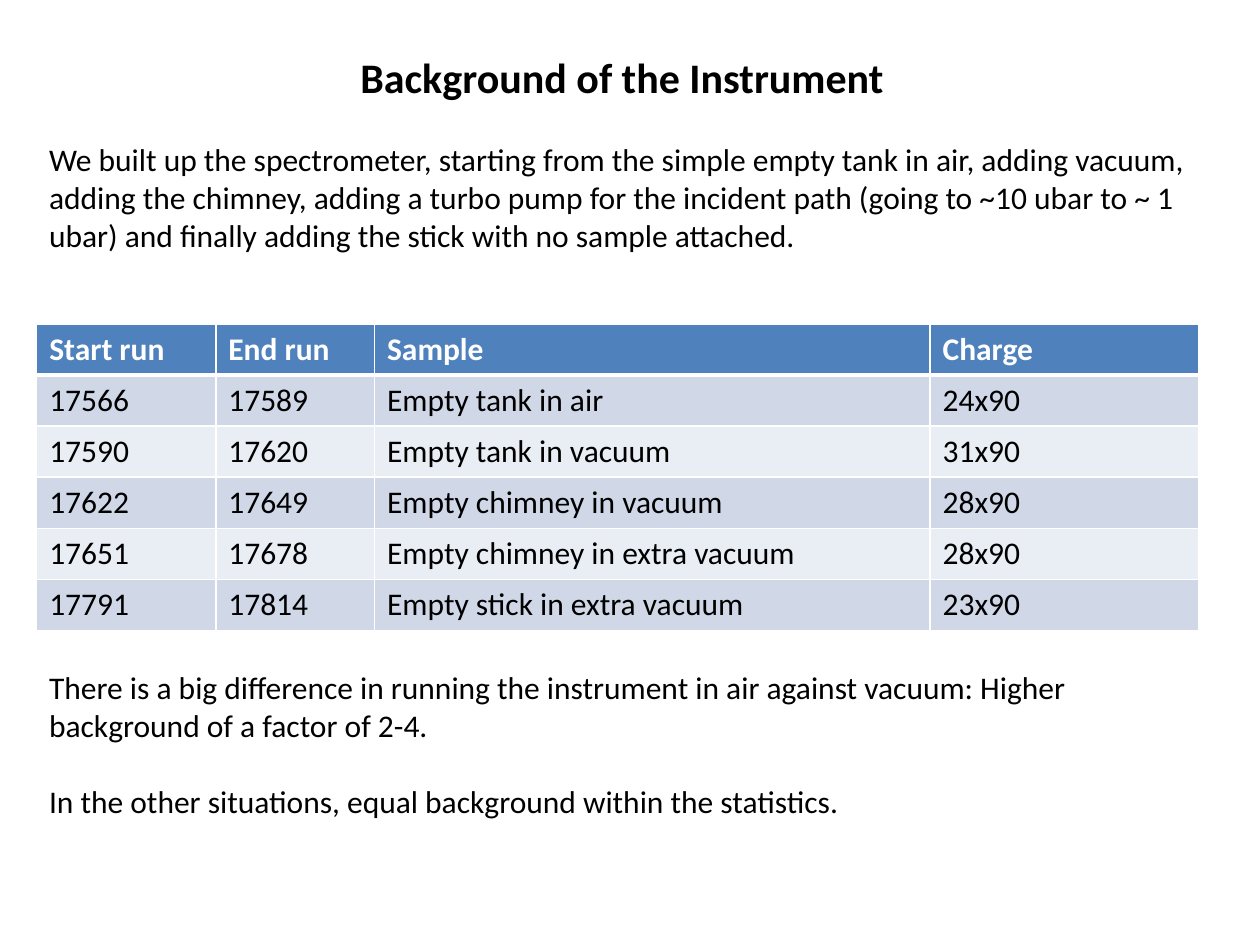
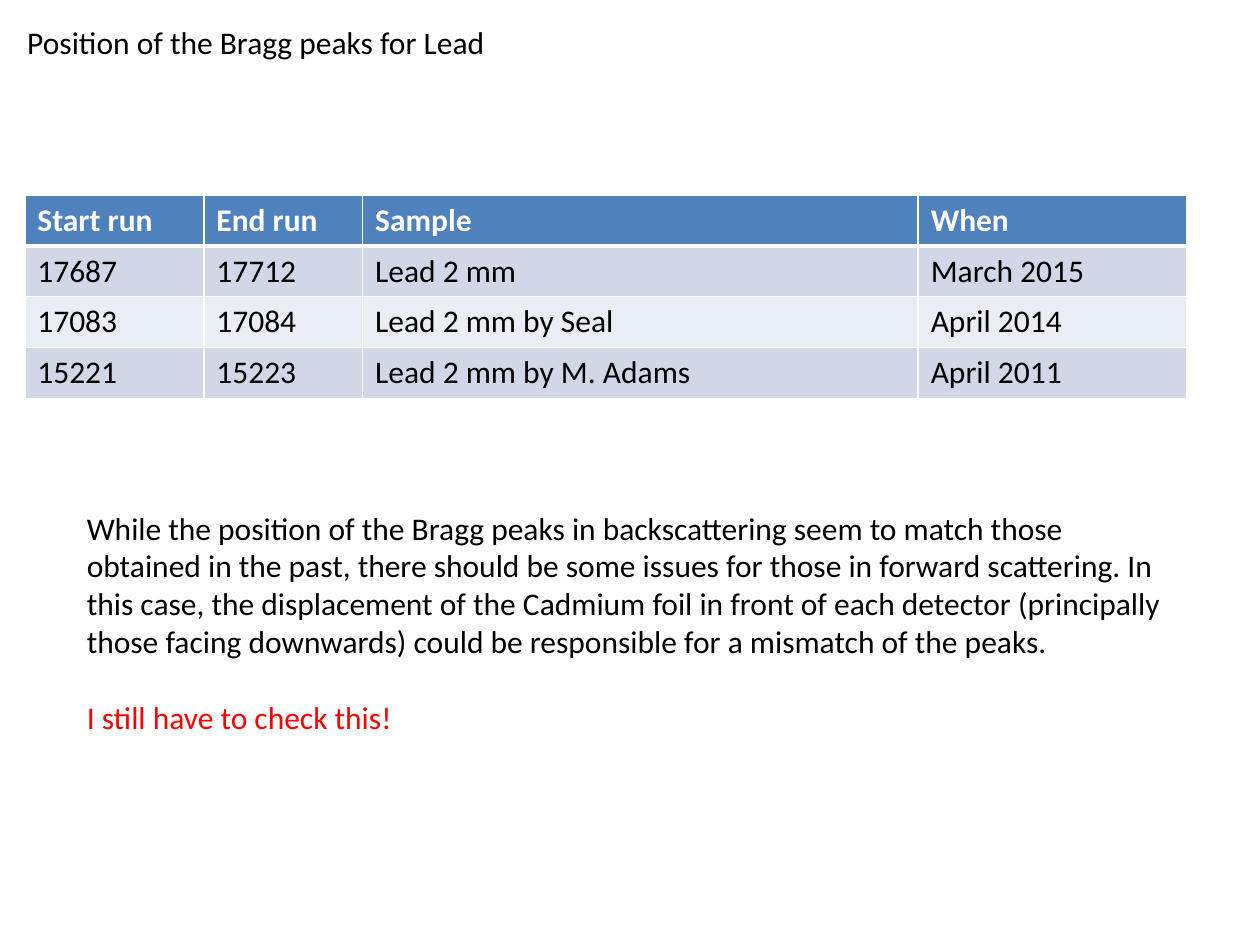
import dataclasses

import lxml.etree
import pptx
import pptx.dml.color
import pptx.enum.text
import pptx.oxml.ns
import pptx.util

Cm = pptx.util.Cm
Pt = pptx.util.Pt


@dataclasses.dataclass(frozen=True)
class Theme:
    font: str = "Calibri"
    title_size: int = 24
    body_size: int = 18
    text: str = "000000"
    alert: str = "FF0000"
    header_text: str = "FFFFFF"
    header_fill: str = "4F81BD"
    band_fills: tuple = ("D0D8E8", "E9EDF4")
    border: str = "FFFFFF"
    thin_border: int = 1
    thick_border: int = 3
    blank_line: int = 22


theme = Theme()
column_widths = (3.61, 3.2, 11.2, 5.41)
row_height = 1.03
first_band_height = 0.97

slides = [
    {
        "table_position": (0.74, 6.53),
        "rows": [
            ("Start run", "End run", "Sample", "Charge"),
            ("17566", "17589", "Empty tank in air", "24x90"),
            ("17590", "17620", "Empty tank in vacuum", "31x90"),
            ("17622", "17649", "Empty chimney in vacuum", "28x90"),
            ("17651", "17678", "Empty chimney in extra vacuum", "28x90"),
            ("17791", "17814", "Empty stick in extra vacuum", "23x90"),
        ],
        "text_boxes": [
            ((0.74, 0.91, 23.6, 4.37), [
                ("Background of the Instrument",
                 {"size": theme.title_size, "bold": True, "centered": True}),
                ("We built up the spectrometer, starting from the simple empty tank in air, "
                 "adding vacuum, adding the chimney, adding a turbo pump for the incident path "
                 "(going to ~10 ubar to ~ 1 ubar) and finally adding the stick with no sample "
                 "attached.", {"space_before": theme.blank_line}),
            ]),
            ((0.74, 13.34, 23.6, 3.33), [
                ("There is a big difference in running the instrument in air against vacuum: "
                 "Higher background of a factor of 2-4.", {}),
                ("In the other situations, equal background within the statistics.",
                 {"space_before": theme.blank_line}),
            ]),
        ],
    },
    {
        "table_position": (0.5, 3.93),
        "rows": [
            ("Start run", "End run", "Sample", "When"),
            ("17687", "17712", "Lead 2 mm", "March 2015"),
            ("17083", "17084", "Lead 2 mm by Seal", "April 2014"),
            ("15221", "15223", "Lead 2 mm by M. Adams", "April 2011"),
        ],
        "text_boxes": [
            ((0.3, 0.33, 24.61, 2.57), [("Position of the Bragg peaks for Lead", {})]),
            ((1.5, 10.13, 22.4, 4.88), [
                ("While the position of the Bragg peaks in backscattering seem to match those "
                 "obtained in the past, there should be some issues for those in forward "
                 "scattering. In this case, the displacement of the Cadmium foil in front of "
                 "each detector (principally those facing downwards) could be responsible for "
                 "a mismatch of the peaks.", {}),
                ("I still have to check this!",
                 {"color": theme.alert, "space_before": theme.blank_line}),
            ]),
        ],
    },
]


def write_text(text_frame, text, *, size=theme.body_size, color=theme.text,
               bold=False, centered=False, space_before=0):
    paragraph = text_frame.paragraphs[0]
    if paragraph.runs:
        paragraph = text_frame.add_paragraph()
    paragraph.space_before = Pt(space_before)
    if centered:
        paragraph.alignment = pptx.enum.text.PP_ALIGN.CENTER
    run = paragraph.add_run()
    run.text = text
    run.font.name = theme.font
    run.font.size = Pt(size)
    run.font.bold = bold
    run.font.color.rgb = pptx.dml.color.RGBColor.from_string(color)


def add_border(cell, side, width):
    qualified = pptx.oxml.ns.qn
    properties = cell._tc.get_or_add_tcPr()
    line = lxml.etree.SubElement(properties, qualified(f"a:ln{side}"), w=str(Pt(width)))
    fill = lxml.etree.SubElement(line, qualified("a:solidFill"))
    lxml.etree.SubElement(fill, qualified("a:srgbClr"), val=theme.border)


presentation = pptx.Presentation()
presentation.slide_width = Cm(25.4)
presentation.slide_height = Cm(19.05)
blank_layout = presentation.slide_layouts[6]

for content in slides:
    slide = presentation.slides.add_slide(blank_layout)

    rows = content["rows"]
    left, top = content["table_position"]
    table = slide.shapes.add_table(
        len(rows), len(column_widths), Cm(left), Cm(top),
        Cm(sum(column_widths)), Cm(row_height * len(rows))).table
    for column, width in zip(table.columns, column_widths):
        column.width = Cm(width)

    for row_index, values in enumerate(rows):
        is_header = row_index == 0
        is_first_band = row_index == 1
        table.rows[row_index].height = Cm(first_band_height if is_first_band else row_height)
        fill_color = theme.header_fill if is_header else theme.band_fills[(row_index - 1) % 2]
        text_color = theme.header_text if is_header else theme.text
        thick_side = "B" if is_header else "T" if is_first_band else None
        for column_index, value in enumerate(values):
            cell = table.cell(row_index, column_index)
            for side in "LRTB":
                add_border(cell, side,
                           theme.thick_border if side == thick_side else theme.thin_border)
            cell.fill.solid()
            cell.fill.fore_color.rgb = pptx.dml.color.RGBColor.from_string(fill_color)
            write_text(cell.text_frame, value, color=text_color, bold=is_header)

    for position, paragraphs in content["text_boxes"]:
        text_frame = slide.shapes.add_textbox(*map(Cm, position)).text_frame
        text_frame.word_wrap = True
        for text, text_format in paragraphs:
            write_text(text_frame, text, **text_format)

presentation.save("out.pptx")
